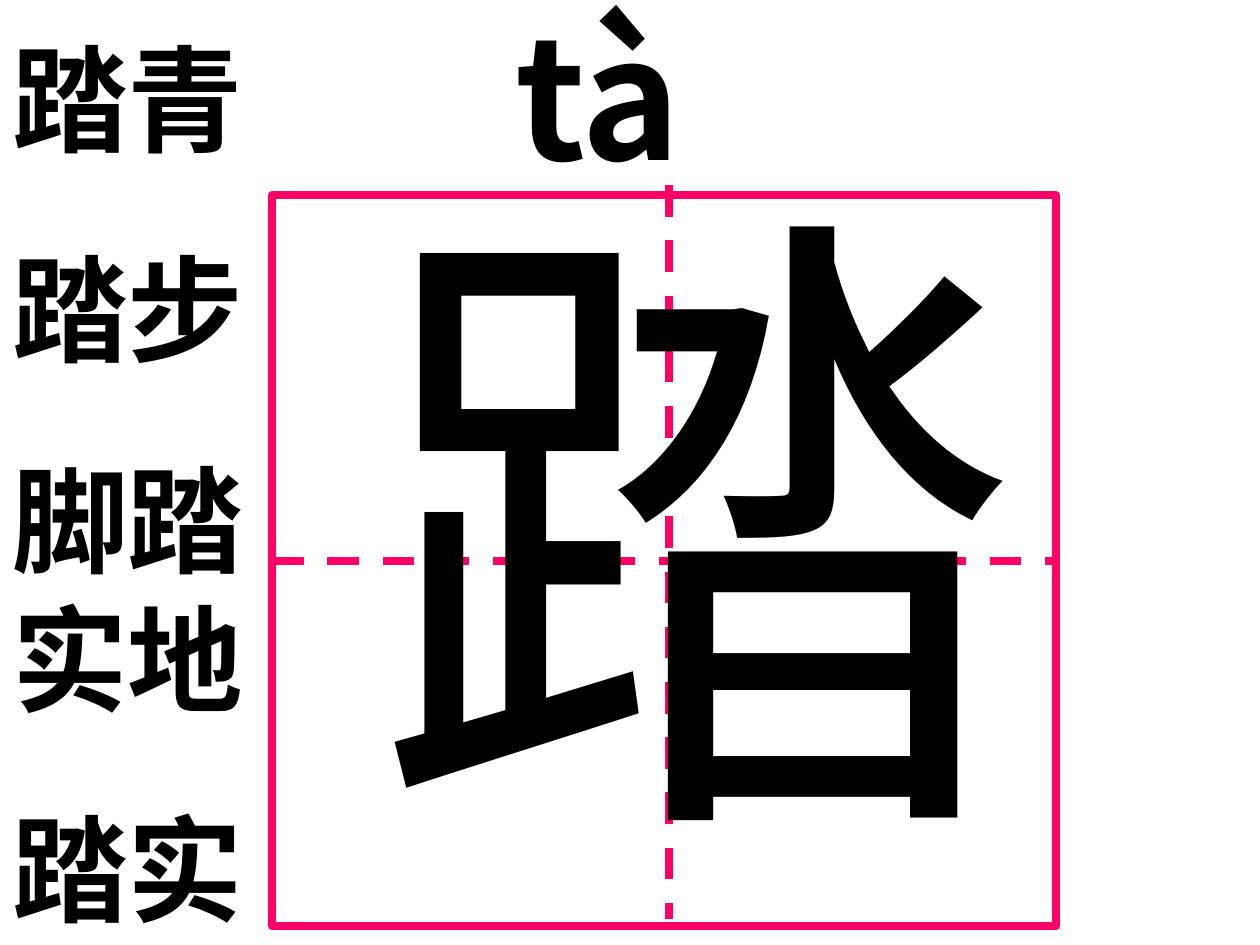
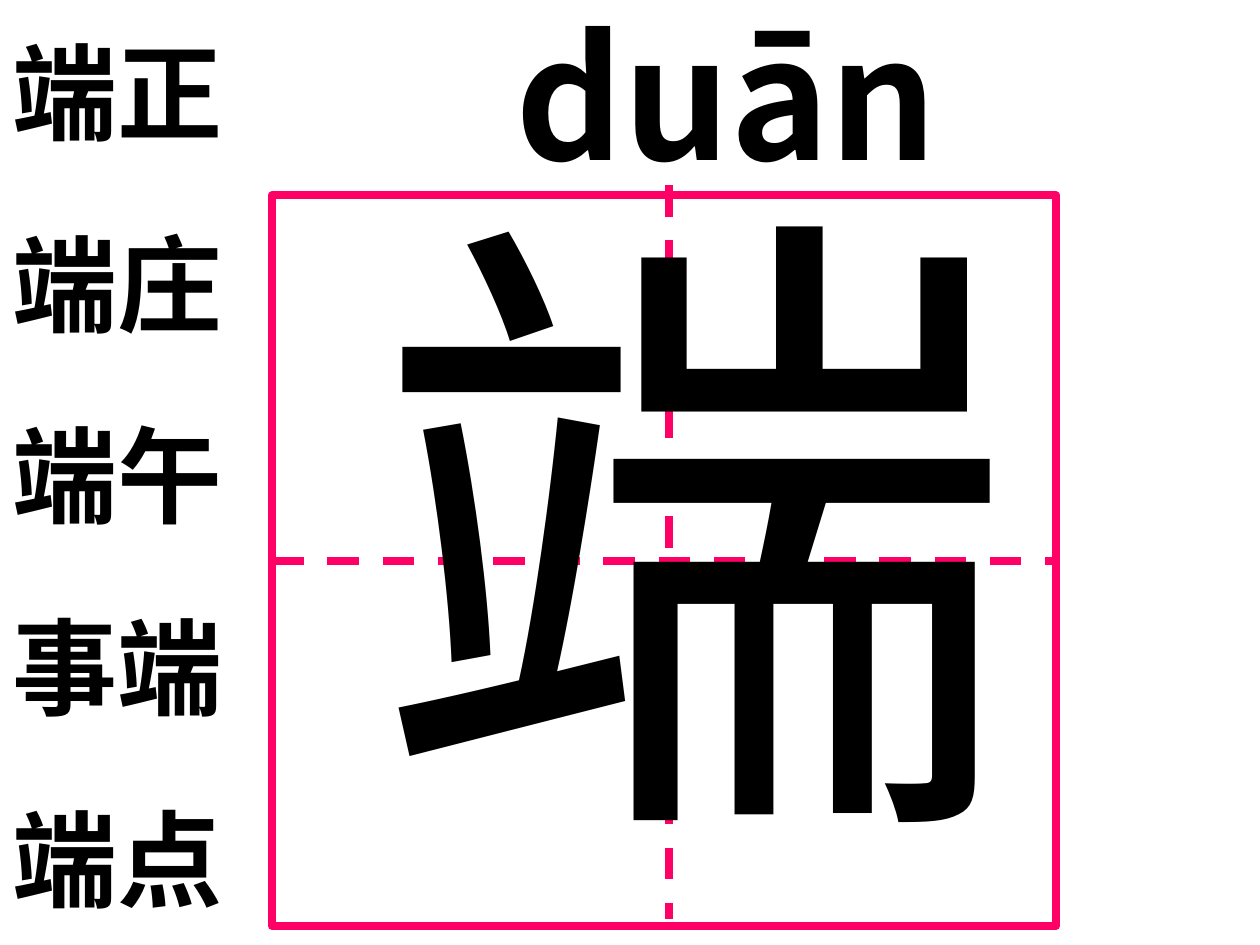
from pptx import Presentation
from pptx.dml.color import RGBColor
from pptx.enum.dml import MSO_LINE
from pptx.enum.shapes import MSO_CONNECTOR, MSO_SHAPE
from pptx.enum.text import MSO_AUTO_SIZE
from pptx.oxml.ns import qn
from pptx.util import Inches, Pt
from lxml.etree import SubElement

BLACK = RGBColor(0x00, 0x00, 0x00)
PINK = RGBColor(0xFF, 0x00, 0x66)
CJK_FONT = "Noto Sans CJK SC"
GRID_WIDTH = 4.5

# Character, pinyin, example words, word size and gap between words in points
LESSONS = [
    ("踏", "tà", ["踏青", "踏步", "脚踏实地", "踏实"], 66, 41.2),
    ("端", "duān", ["端正", "端庄", "端午", "事端", "端点"], 60, 37.5),
]


class CharacterCard:
    def __init__(self, presentation):
        self.slide = presentation.slides.add_slide(presentation.slide_layouts[6])

    def add_text(self, text, left, top, width, height, size,
                 font=CJK_FONT, bold=False, wrap=True, gap=0):
        """Add a text box; each line of text is a paragraph, set apart by gap points."""
        box = self.slide.shapes.add_textbox(
            Inches(left), Inches(top), Inches(width), Inches(height))
        frame = box.text_frame
        frame.word_wrap = wrap
        frame.auto_size = MSO_AUTO_SIZE.SHAPE_TO_FIT_TEXT
        frame.text = text
        for index, paragraph in enumerate(frame.paragraphs):
            paragraph.space_before = Pt(gap if index else 0)
            for run in paragraph.runs:
                run.font.name = font
                run.font.size = Pt(size)
                run.font.bold = bold
                run.font.color.rgb = BLACK
                east_asian = SubElement(run.font._element, qn("a:ea"))
                east_asian.set("typeface", CJK_FONT)

    def add_frame(self, left, top, width, height):
        frame = self.slide.shapes.add_shape(
            MSO_SHAPE.RECTANGLE,
            Inches(left), Inches(top), Inches(width), Inches(height))
        frame.shadow.inherit = False
        frame.fill.background()
        frame.line.color.rgb = PINK
        frame.line.width = Pt(GRID_WIDTH)
        return frame

    def add_guide(self, start_x, start_y, end_x, end_y):
        guide = self.slide.shapes.add_connector(
            MSO_CONNECTOR.STRAIGHT,
            Inches(start_x), Inches(start_y), Inches(end_x), Inches(end_y))
        guide.line.color.rgb = PINK
        guide.line.width = Pt(GRID_WIDTH)
        guide.line.dash_style = MSO_LINE.DASH
        SubElement(guide._element.spPr, qn("a:effectLst"))
        return guide

    def add_writing_grid(self):
        frame = self.add_frame(2.16, 1.55, 6.22, 5.8)
        across = self.add_guide(2.16, 4.46, 8.39, 4.46)
        across.begin_connect(frame, 1)
        across.end_connect(frame, 3)
        self.add_guide(5.31, 1.47, 5.31, 7.29)


def main():
    presentation = Presentation()
    presentation.slide_width = Inches(10)
    presentation.slide_height = Inches(7.5)
    for character, pinyin, words, word_size, word_gap in LESSONS:
        card = CharacterCard(presentation)
        card.add_text(pinyin, 3.99, -0.11, 4.24, 1.7, 96, bold=True)
        card.add_writing_grid()
        card.add_text(character, 2.84, 0.92, 5.34, 6.27, 370,
                      font="Times New Roman", wrap=False)
        card.add_text("\n".join(words), 0, 0.17, 2.05, 7.3, word_size,
                      font="Arial", bold=True, gap=word_gap)
    presentation.save("out.pptx")


if __name__ == "__main__":
    main()
